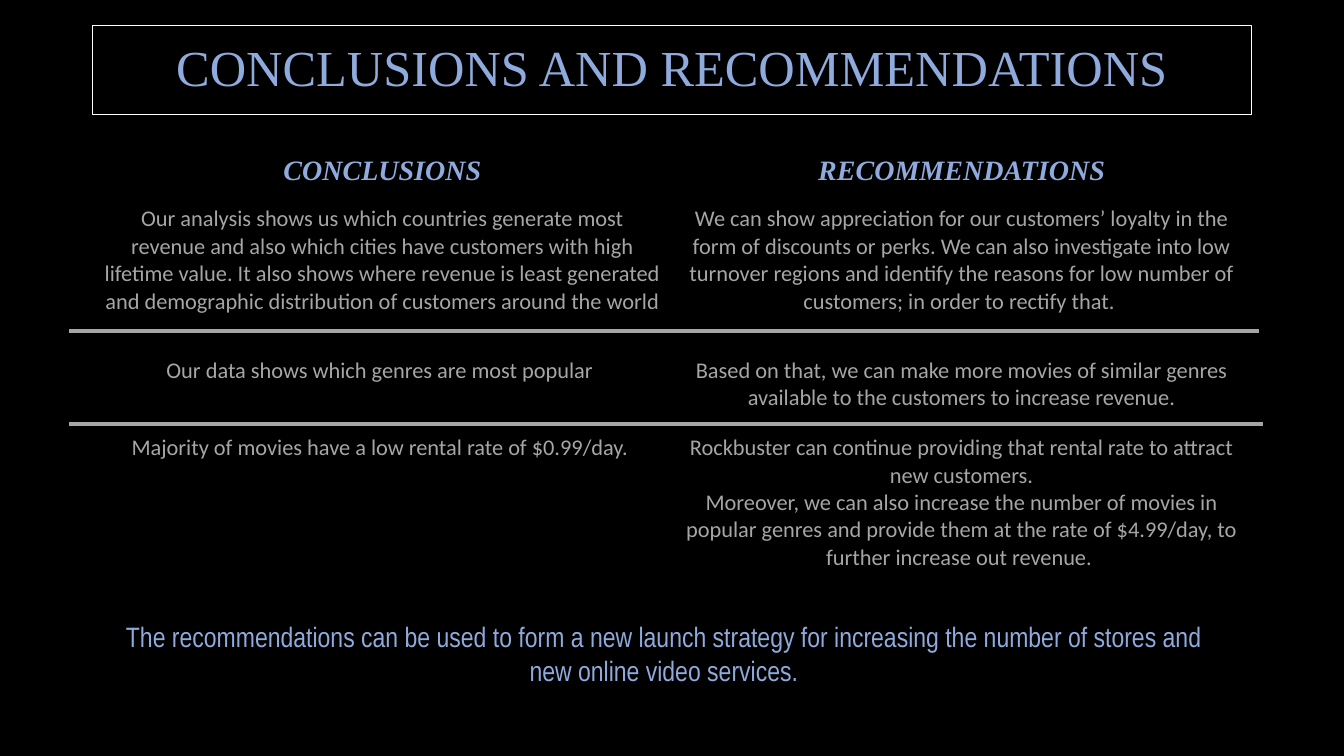
"""Build the conclusions and recommendations slide."""
from lxml import etree
from pptx import Presentation
from pptx.dml.color import RGBColor
from pptx.enum.shapes import MSO_CONNECTOR, MSO_SHAPE
from pptx.enum.text import MSO_ANCHOR, PP_ALIGN
from pptx.oxml.ns import qn
from pptx.util import Inches, Pt

CENTER = PP_ALIGN.CENTER
MIDDLE = MSO_ANCHOR.MIDDLE
RECTANGLE = MSO_SHAPE.RECTANGLE
STRAIGHT = MSO_CONNECTOR.STRAIGHT

WIDTH, HEIGHT = 13.33, 7.5
MARGIN = 0.92
CONTENT_WIDTH = WIDTH - 2 * MARGIN
BLACK, WHITE, BLUE, GREY, RULE_GREY = "000000", "FFFFFF", "8FAADC", "A6A6A6", "A5A5A5"
PLAIN_TABLE_STYLE = "{2D5ABB26-0587-4C30-8999-92F81FD0307C}"

TITLE = "CONCLUSIONS AND RECOMMENDATIONS"
ROWS = [
    ("CONCLUSIONS", "RECOMMENDATIONS"),
    (
        "Our analysis shows us which countries generate most revenue and also which cities "
        "have customers with high lifetime value. It also shows where revenue is least "
        "generated and demographic distribution of customers around the world",
        "We can show appreciation for our customers’ loyalty in the form of discounts or "
        "perks. We can also investigate into low turnover regions and identify the reasons "
        "for low number of customers; in order to rectify that. ",
    ),
    (
        "Our data shows which genres are most popular ",
        "Based on that, we can make more movies of similar genres available to the customers "
        "to increase revenue.",
    ),
    (
        "Majority of movies have a low rental rate of $0.99/day. ",
        "Rockbuster can continue providing that rental rate to attract new customers.\n"
        "Moreover, we can also increase the number of movies in popular genres and provide "
        "them at the rate of $4.99/day, to further increase out revenue. ",
    ),
]
SUMMARY = (
    "The recommendations can be used to form a new launch strategy for increasing the number "
    "of stores and new online video services."
)

TABLE_TOP = 1.49
ROW_HEIGHTS = [0.5, 1.5, 0.77, 1.45]
RULE_LEFT = 0.68
RULES = [(3.28, 12.49), (4.21, 12.53)]

TITLE_FORMAT = {"size": Pt(36), "name": "Times New Roman"}
HEADING_FORMAT = {"size": Pt(20), "name": "Times New Roman", "bold": True, "italic": True}
BODY_FORMAT = {"size": Pt(16), "name": "Calibri", "bold": False, "italic": False}
SUMMARY_FORMAT = {"size": Pt(20), "name": "Arial Narrow"}


def color(hex_value):
    return RGBColor.from_string(hex_value)


def write(text_frame, text, font_format, hex_value, line_spacing=None):
    text_frame.word_wrap = True
    text_frame.text = text
    for paragraph in text_frame.paragraphs:
        paragraph.alignment = CENTER
        paragraph.line_spacing = line_spacing
        font = paragraph.runs[0].font
        for attribute, value in font_format.items():
            setattr(font, attribute, value)
        font.color.rgb = color(hex_value)


def add_title(slide):
    shape = slide.shapes.add_shape(
        RECTANGLE, Inches(MARGIN), Inches(0.25), Inches(CONTENT_WIDTH), Inches(0.89)
    )
    shape.shadow.inherit = False
    shape.fill.background()
    shape.line.color.rgb = color(WHITE)
    shape.line.width = Pt(0.75)
    shape.text_frame.vertical_anchor = MIDDLE
    write(shape.text_frame, TITLE, TITLE_FORMAT, BLUE, 0.9)


def add_findings(slide):
    table = slide.shapes.add_table(
        len(ROWS), len(ROWS[0]), Inches(MARGIN), Inches(TABLE_TOP),
        Inches(CONTENT_WIDTH), Inches(sum(ROW_HEIGHTS)),
    ).table
    table.first_row = table.horz_banding = False
    table._tbl.tblPr.find(qn("a:tableStyleId")).text = PLAIN_TABLE_STYLE
    for row_index, (texts, height) in enumerate(zip(ROWS, ROW_HEIGHTS)):
        table.rows[row_index].height = Inches(height)
        font_format, hex_value = (BODY_FORMAT, GREY) if row_index else (HEADING_FORMAT, BLUE)
        for column_index, text in enumerate(texts):
            cell = table.cell(row_index, column_index)
            cell.fill.background()
            write(cell.text_frame, text, font_format, hex_value)


def add_rules(slide):
    for top, right in RULES:
        rule = slide.shapes.add_connector(
            STRAIGHT, Inches(RULE_LEFT), Inches(top), Inches(right), Inches(top)
        )
        rule.line.color.rgb = color(RULE_GREY)
        rule.line.width = Pt(3)
        etree.SubElement(rule._element.spPr, qn("a:effectLst"))


def add_summary(slide):
    box = slide.shapes.add_textbox(Inches(1.1), Inches(6.1), Inches(10.97), Inches(0.77))
    write(box.text_frame, SUMMARY, SUMMARY_FORMAT, BLUE)


def main():
    presentation = Presentation()
    presentation.slide_width, presentation.slide_height = Inches(WIDTH), Inches(HEIGHT)
    slide = presentation.slides.add_slide(presentation.slide_layouts[6])
    slide.background.fill.solid()
    slide.background.fill.fore_color.rgb = color(BLACK)
    add_title(slide)
    add_findings(slide)
    add_rules(slide)
    add_summary(slide)
    presentation.save("out.pptx")


if __name__ == "__main__":
    main()
